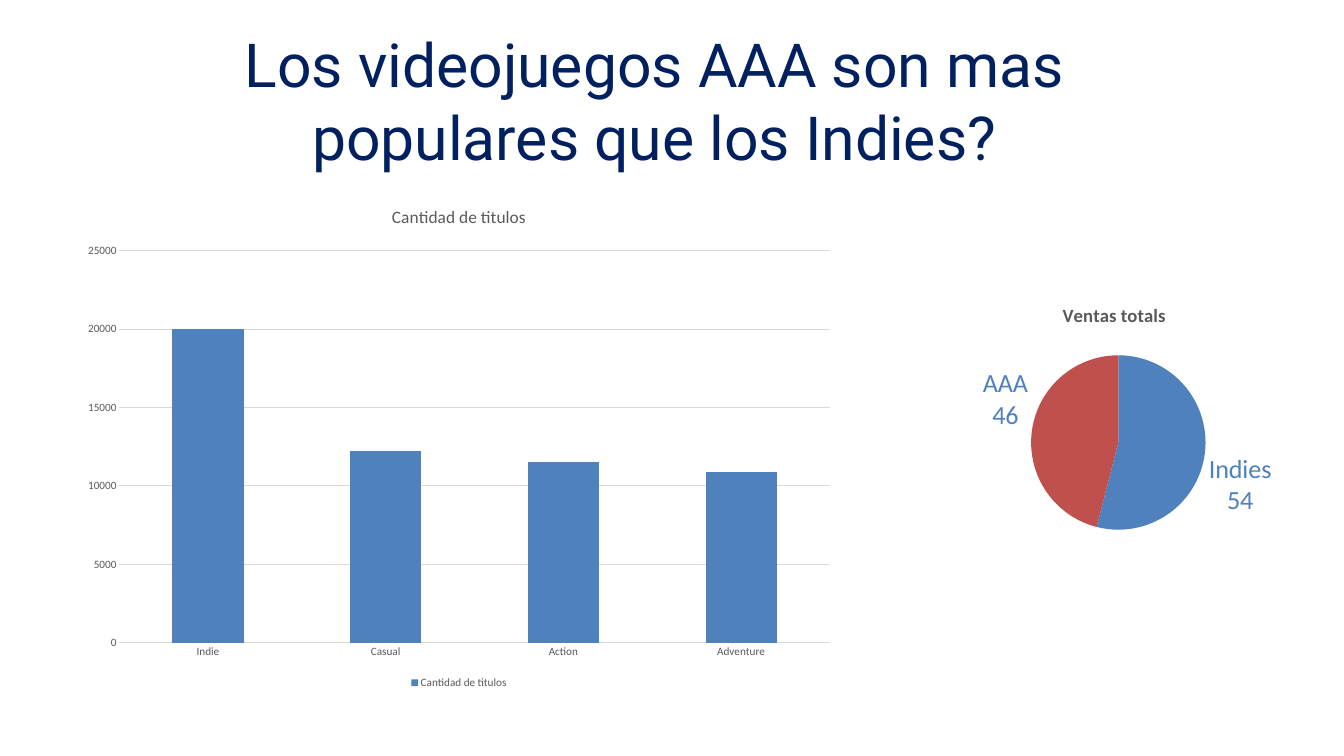
from lxml import etree
from pptx import Presentation
from pptx import util as u
from pptx.chart.data import CategoryChartData
from pptx.dml.color import RGBColor
from pptx.enum import chart as ch, text
from pptx.oxml import parse_xml
from pptx.oxml.ns import nsdecls, qn

NAVY, GRAY, RULE = "002060", "595959", "D9D9D9"
BLUE, RED = "4F81BD", "C0504D"


def rgb(color):
    return RGBColor.from_string(color)


class Deck:
    def __init__(self, width, height):
        self.prs = Presentation()
        self.prs.slide_width, self.prs.slide_height = u.Pt(width), u.Pt(height)
        self.slide = None

    def add_slide(self):
        self.slide = self.prs.slides.add_slide(self.prs.slide_layouts[5])

    def font(self, font, size, color, name="Calibri", bold=False):
        font.size, font.name, font.bold = u.Pt(size), name, bold
        font.color.rgb = rgb(color)

    def line(self, fmt, color):
        fmt.line.color.rgb = rgb(color)
        fmt.line.width = u.Pt(0.75)

    def title(self, words, x, y, w, h):
        sp = self.slide.shapes.title
        sp.left, sp.top, sp.width, sp.height = map(u.Pt, (x, y, w, h))
        tf = sp.text_frame
        tf.margin_left = tf.margin_right = tf.margin_top = tf.margin_bottom = 0
        tf.word_wrap = True
        tf.vertical_anchor = text.MSO_ANCHOR.TOP
        tf.auto_size = text.MSO_AUTO_SIZE.SHAPE_TO_FIT_TEXT
        p = tf.paragraphs[0]
        p.text = words
        p.alignment = text.PP_ALIGN.CENTER
        p.line_spacing = u.Pt(78)
        self.font(p.font, 65, NAVY, "Roboto")

    def chart(self, kind, name, values, box, title_size, title_bold=False):
        """Add a one-series chart from a category-to-value dict."""
        data = CategoryChartData()
        data.categories = list(values)
        data.add_series(name, list(values.values()))
        chart = self.slide.shapes.add_chart(kind, *map(u.Pt, box), data).chart
        self.font(chart.font, 10, "000000")
        chart.has_title = True
        p = chart.chart_title.text_frame.paragraphs[0]
        p.text = name
        self.font(p.font, title_size, GRAY, bold=title_bold)
        chart.chart_title.include_in_layout = False
        return chart

    def columns(self, name, values, box, top, step):
        chart = self.chart(ch.XL_CHART_TYPE.COLUMN_STACKED, name, values, box, 18.6)
        plot = chart.plots[0]
        plot.gap_width, plot.overlap = 150, 100
        plot.vary_by_categories = False
        fill = plot.series[0].format.fill
        fill.solid()
        fill.fore_color.rgb = rgb(BLUE)
        for axis in (chart.category_axis, chart.value_axis):
            axis.major_tick_mark = axis.minor_tick_mark = ch.XL_TICK_MARK.NONE
            self.font(axis.tick_labels.font, 12, GRAY)
        self.line(chart.category_axis.format, RULE)
        axis = chart.value_axis
        axis.minimum_scale, axis.maximum_scale, axis.major_unit = 0, top, step
        axis.format.line.fill.background()
        self.line(axis.major_gridlines.format, RULE)
        chart.has_legend = True
        chart.legend.position = ch.XL_LEGEND_POSITION.BOTTOM
        chart.legend.include_in_layout = False
        self.font(chart.legend.font, 12, GRAY)

    def pie(self, name, values, colors, box, plot_box):
        """Add a pie; plot_box is x, y, w, h as fractions of the chart."""
        chart = self.chart(ch.XL_CHART_TYPE.PIE, name, values, box, 20, True)
        chart.has_legend = False
        plot = chart.plots[0]
        plot.vary_by_categories = True
        for i, color in enumerate(colors):
            fill = plot.series[0].points[i].format.fill
            fill.solid()
            fill.fore_color.rgb = rgb(color)
        labels = plot.series[0].data_labels
        labels.show_category_name = labels.show_value = True
        labels.show_percentage = False
        labels.position = ch.XL_LABEL_POSITION.OUTSIDE_END
        self.font(labels.font, 28, BLUE)
        separator = etree.Element(qn("c:separator"))
        separator.text = "\n"
        labels._element.find(qn("c:showBubbleSize")).addnext(separator)
        self.place_plot(chart, plot_box)

    def place_plot(self, chart, plot_box):
        area = chart._chartSpace.chart.plotArea
        old = area.find(qn("c:layout"))
        if old is not None:
            area.remove(old)
        sizes = "".join(f'<c:{k} val="{v}"/>' for k, v in zip("xywh", plot_box))
        area.insert(0, parse_xml(
            f'<c:layout {nsdecls("c")}><c:manualLayout><c:layoutTarget val="inner"/>'
            f'<c:xMode val="edge"/><c:yMode val="edge"/>{sizes}'
            '</c:manualLayout></c:layout>'))


def main():
    deck = Deck(1440, 810)
    deck.add_slide()
    deck.title("Los videojuegos AAA son mas populares que los Indies?",
               237.6, 28.8, 927.4, 157.7)
    titles = {"Indie": 20000, "Casual": 12200, "Action": 11500, "Adventure": 10900}
    deck.columns("Cantidad de titulos", titles, (77.8, 201.6, 828, 540), 25000, 5000)
    deck.pie("Ventas totals", {"Indies": 54, "AAA": 46}, (BLUE, RED),
             (971.3, 310.3, 445, 318.2), (0.3, 0.22, 0.42, 0.59))
    deck.prs.save("out.pptx")


if __name__ == "__main__":
    main()
